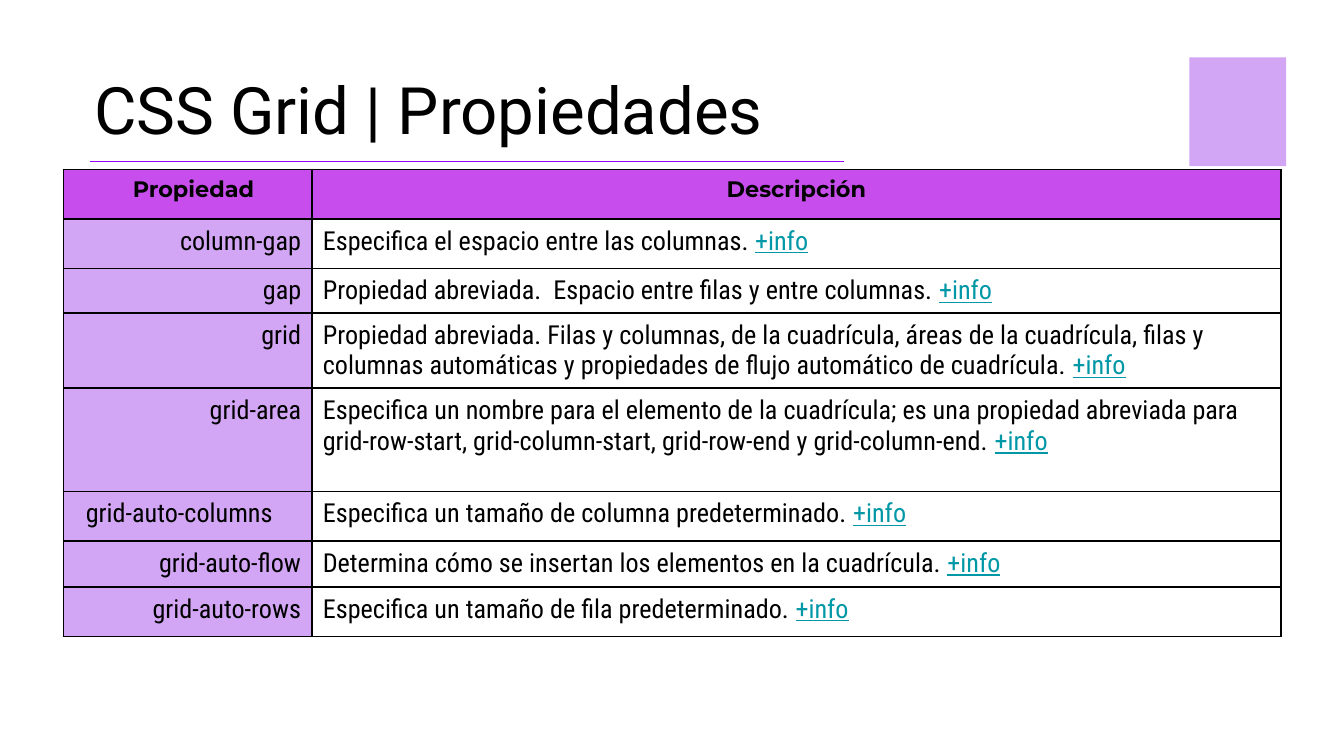
from dataclasses import dataclass

import pptx
import pptx.dml.color
import pptx.enum.shapes
import pptx.enum.text
import pptx.oxml
import pptx.oxml.ns
import pptx.util
from pptx.util import Pt

ALIGN = pptx.enum.text.PP_ALIGN


@dataclass(frozen=True)
class Theme:
    black: str = "000000"
    rule: str = "9900FF"
    header: str = "C74DED"
    lilac: str = "D2A6F4"
    link: str = "0097A7"
    title_font: str = "Roboto"
    header_font: str = "Montserrat"
    body_font: str = "Roboto Condensed"
    title_size: int = 35
    header_size: int = 12
    body_size: int = 14


THEME = Theme()
LINK_TEXT = "+info"
HEADINGS = ("Propiedad", "Descripción")
# Property, description, row height, alignment of the property name
PROPERTIES = [
    ("column-gap", "Especifica el espacio entre las columnas. ", 26.6, ALIGN.RIGHT),
    ("gap", "Propiedad abreviada.  Espacio entre filas y entre columnas. ", 23.5, ALIGN.RIGHT),
    ("grid", "Propiedad abreviada. Filas y columnas, de la cuadrícula, áreas de la "
     "cuadrícula, filas y columnas automáticas y propiedades de flujo automático "
     "de cuadrícula. ", 36, ALIGN.RIGHT),
    ("grid-area", "Especifica un nombre para el elemento de la cuadrícula; es una "
     "propiedad abreviada para grid-row-start, grid-column-start, grid-row-end y "
     "grid-column-end. ", 55.4, ALIGN.RIGHT),
    ("grid-auto-columns", "Especifica un tamaño de columna predeterminado. ", 26.6, ALIGN.LEFT),
    ("grid-auto-flow", "Determina cómo se insertan los elementos en la cuadrícula. ", 24.5,
     ALIGN.RIGHT),
    ("grid-auto-rows", "Especifica un tamaño de fila predeterminado. ", 26.6, ALIGN.RIGHT),
]
HEADER_HEIGHT = 26.6
COLUMN_WIDTHS = (133.2, 519.1)


def rgb(color):
    return pptx.dml.color.RGBColor.from_string(color)


def write(paragraph, text, *, font=THEME.body_font, size=THEME.body_size,
          color=THEME.black, bold=False, underline=False, align=ALIGN.LEFT):
    """Append one formatted run to the paragraph."""
    paragraph.alignment = align
    run = paragraph.add_run()
    run.text = text
    run.font.name = font
    run.font.size = Pt(size)
    run.font.bold = bold
    run.font.underline = underline
    run.font.color.rgb = rgb(color)


def add_title(slide, text):
    title = slide.shapes.title
    title.left, title.top, title.width, title.height = Pt(43.2), Pt(13), Pt(627), Pt(73.4)
    frame = title.text_frame
    frame.word_wrap = True
    frame.auto_size = pptx.enum.text.MSO_AUTO_SIZE.NONE
    frame.vertical_anchor = pptx.enum.text.MSO_ANCHOR.BOTTOM
    frame.margin_left = frame.margin_right = Pt(7.2)
    frame.margin_top = frame.margin_bottom = Pt(7.2)
    paragraph = frame.paragraphs[0]
    paragraph.line_spacing = 1.2
    paragraph.space_before = Pt(0)
    write(paragraph, text, font=THEME.title_font, size=THEME.title_size)


def add_rule(slide, left, right, top):
    rule = slide.shapes.add_connector(
        pptx.enum.shapes.MSO_CONNECTOR.STRAIGHT, Pt(left), Pt(top), Pt(right), Pt(top))
    rule.line.color.rgb = rgb(THEME.rule)
    rule.line.width = Pt(0.75)
    rule._element.spPr.append(pptx.oxml.parse_xml(
        f"<a:effectLst {pptx.oxml.ns.nsdecls('a')}/>"))


def add_block(slide, left, top, width, height):
    block = slide.shapes.add_shape(
        pptx.enum.shapes.MSO_SHAPE.RECTANGLE, Pt(left), Pt(top), Pt(width), Pt(height))
    block.shadow.inherit = False
    block.fill.solid()
    block.fill.fore_color.rgb = rgb(THEME.lilac)
    block.line.fill.background()


def format_cell(cell, fill, left_margin):
    """Set borders, margins and fill; a fill of None leaves the cell clear."""
    properties = cell._tc.get_or_add_tcPr()
    for side in ("lnL", "lnR", "lnT", "lnB"):
        properties.append(pptx.oxml.parse_xml(
            f'<a:{side} {pptx.oxml.ns.nsdecls("a")} w="{Pt(0.96)}"><a:solidFill>'
            f'<a:srgbClr val="{THEME.black}"/></a:solidFill></a:{side}>'))
    cell.margin_left, cell.margin_right = Pt(left_margin), Pt(5.8)
    cell.margin_top = cell.margin_bottom = Pt(3.6)
    if fill is None:
        cell.fill.background()
    else:
        cell.fill.solid()
        cell.fill.fore_color.rgb = rgb(fill)


def add_property_table(slide, left, top):
    heights = [HEADER_HEIGHT] + [entry[2] for entry in PROPERTIES]
    table = slide.shapes.add_table(
        len(heights), len(COLUMN_WIDTHS), Pt(left), Pt(top),
        Pt(sum(COLUMN_WIDTHS)), Pt(sum(heights))).table
    table.horz_banding = False
    for column, width in zip(table.columns, COLUMN_WIDTHS):
        column.width = Pt(width)
    for index, height in enumerate(heights):
        table.rows[index].height = Pt(height)
        name_cell, description_cell = table.rows[index].cells
        is_header = index == 0
        format_cell(name_cell, THEME.header if is_header else THEME.lilac, 12)
        format_cell(description_cell, THEME.header if is_header else None, 5.8)

    for cell, heading in zip(table.rows[0].cells, HEADINGS):
        write(cell.text_frame.paragraphs[0], heading, font=THEME.header_font,
              size=THEME.header_size, bold=True, align=ALIGN.CENTER)
    for index, (name, description, _, align) in enumerate(PROPERTIES, start=1):
        write(table.cell(index, 0).text_frame.paragraphs[0], name, align=align)
        paragraph = table.cell(index, 1).text_frame.paragraphs[0]
        write(paragraph, description)
        write(paragraph, LINK_TEXT, color=THEME.link, underline=True)


def main():
    presentation = pptx.Presentation()
    presentation.slide_width, presentation.slide_height = Pt(720), Pt(405)
    slide = presentation.slides.add_slide(presentation.slide_layouts[5])
    add_title(slide, "CSS Grid | Propiedades")
    add_rule(slide, 48.2, 452.4, 86.4)
    add_block(slide, 637.2, 30.7, 51.8, 58.3)
    add_property_table(slide, 34, 90.7)
    presentation.save("out.pptx")


if __name__ == "__main__":
    main()
